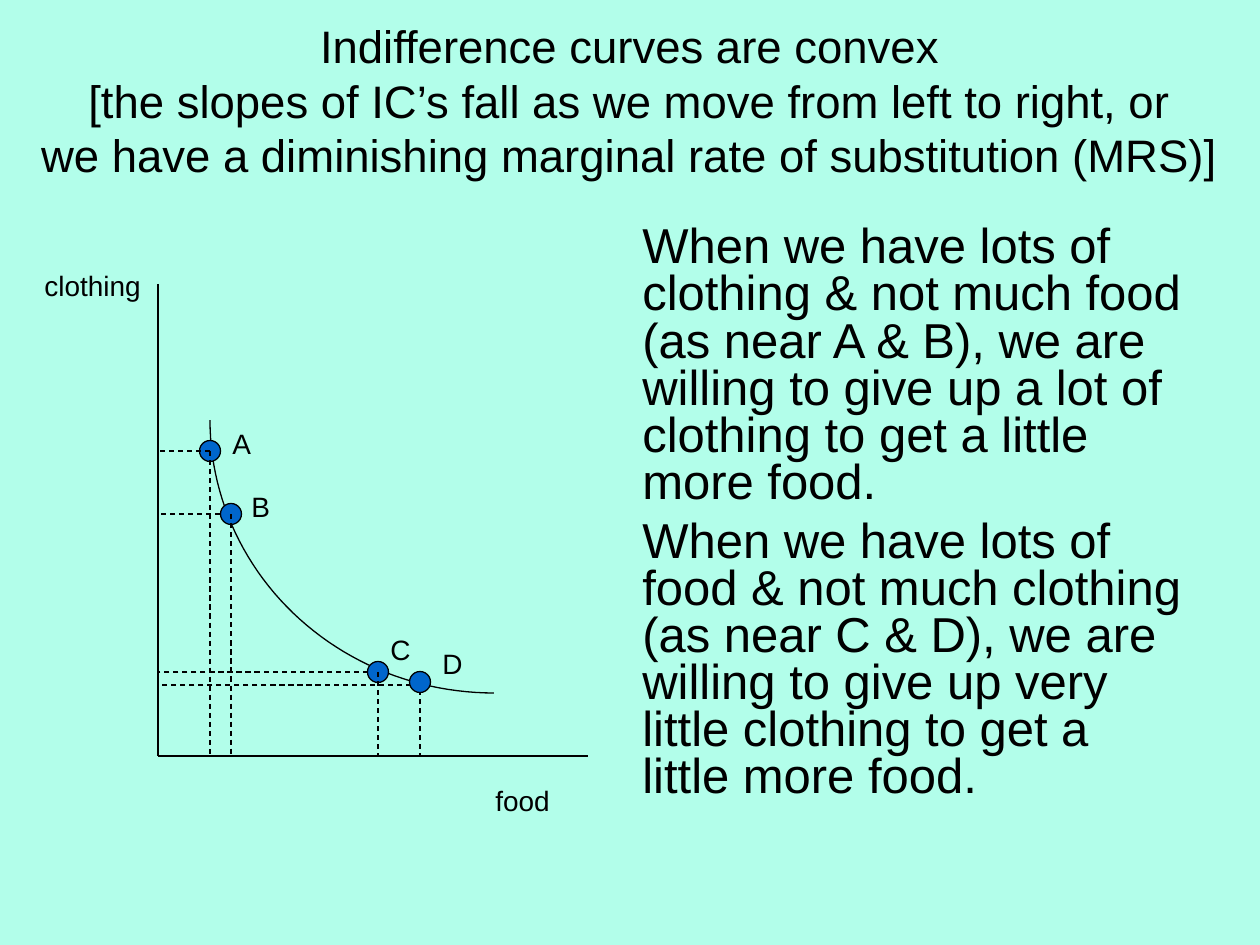
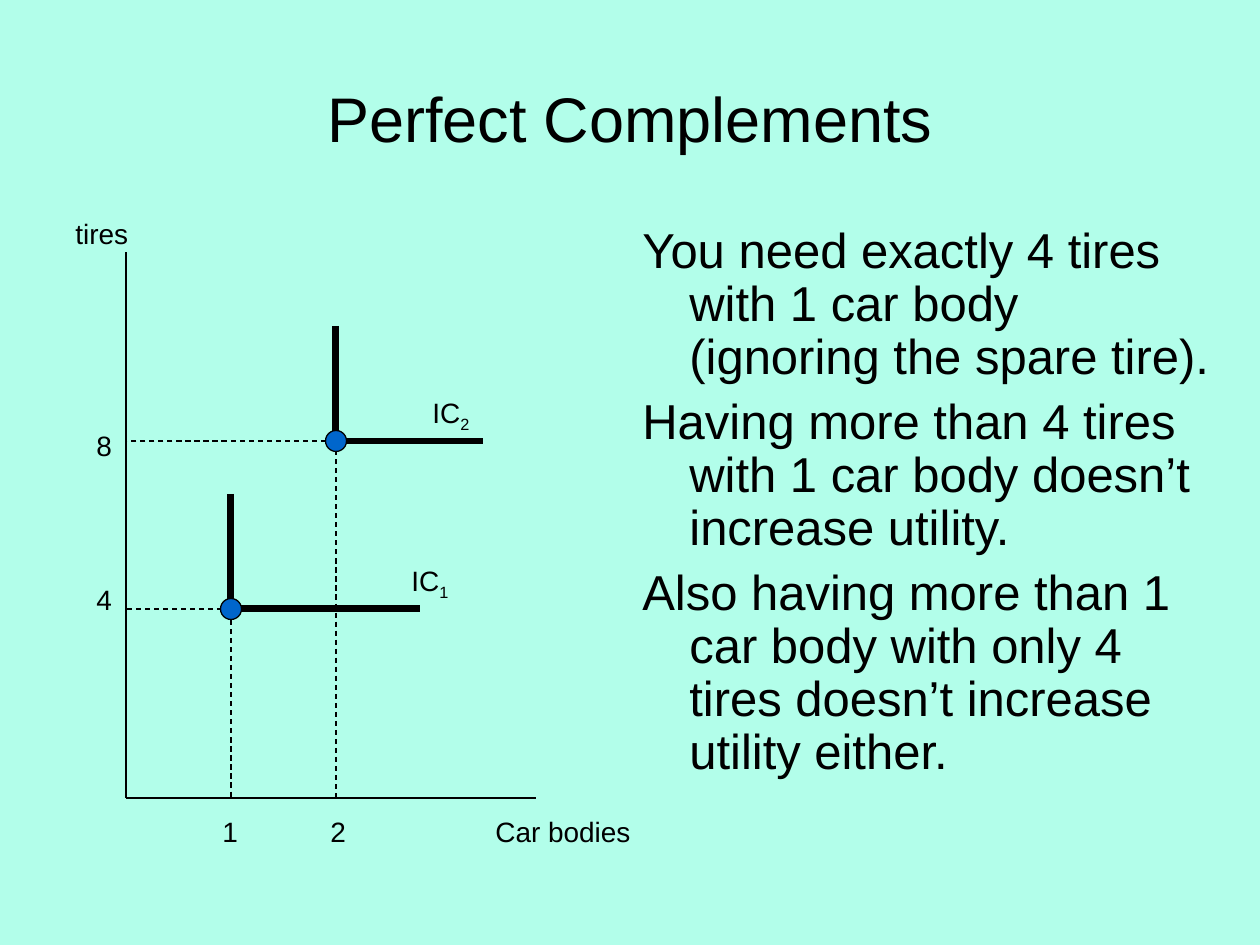
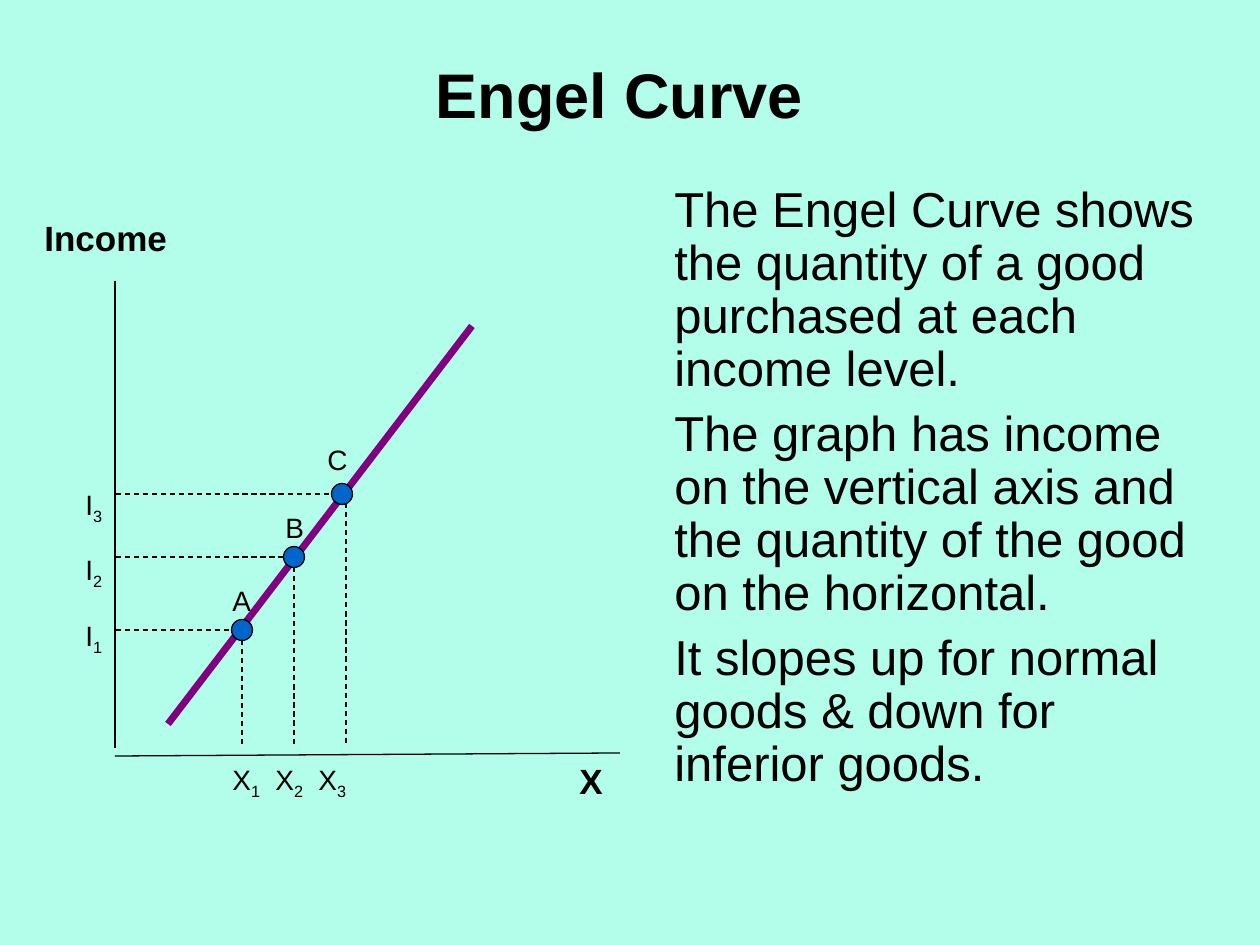
from math import cos, pi, sin

from lxml import etree
from pptx import Presentation
from pptx.dml.color import RGBColor
from pptx.enum.dml import MSO_LINE
from pptx.enum.shapes import MSO_CONNECTOR, MSO_SHAPE
from pptx.enum.text import MSO_ANCHOR, PP_ALIGN
from pptx.oxml.ns import qn
from pptx.util import Emu, Pt

STRAIGHT = MSO_CONNECTOR.STRAIGHT
OVAL = MSO_SHAPE.OVAL
DASH = MSO_LINE.DASH
CENTER = PP_ALIGN.CENTER
MIDDLE = MSO_ANCHOR.MIDDLE

FONT = "Arial"
COLORS = {"mint": "B2FEEA", "ink": "000000", "dot": "0066CC", "purple": "800080"}
LINES = {
    "axis": ("ink", 0.75, None),
    "dash": ("ink", 0.75, DASH),
    "indifference": ("ink", 4, None),
    "engel": ("purple", 4, None),
}
DOT = 21
CURVE_STEPS = 48
LABEL_H = 46

SLIDES = [
    {
        "title": "Indifference curves are convex\v"
                 "[the slopes of IC’s fall as we move from left to right, or\v"
                 "we have a diminishing marginal rate of substitution (MRS)]",
        "title_box": (0, 21, 1260, 158),
        "title_font": {"size": 26},
        "body": [
            "When we have lots of clothing & not much food (as near A & B), "
            "we are willing to give up a lot of clothing to get a little more food.",
            "When we have lots of food & not much clothing (as near C & D), "
            "we are willing to give up very little clothing to get a little more food.",
        ],
        "body_box": (630, 220, 567, 624),
        "body_format": {"spacing": 0.8},
        "parts": [
            ("axis", 158, 284, 158, 756),
            ("axis", 158, 756, 588, 756),
            ("curve", 210, 420, 494, 693),
            ("dot", 210, 451),
            ("label", 483, 777, 84, "food"),
            ("label", 220, 420, 74, "A"),
            ("label", 378, 626, 74, "C"),
            ("dot", 231, 514),
            ("label", 32, 262, 231, "clothing"),
            ("dash", 420, 672, 420, 756),
            ("dash", 210, 451, 210, 756),
            ("dash", 420, 685, 158, 685),
            ("dash", 210, 451, 158, 451),
            ("label", 239, 483, 66, "B"),
            ("dash", 231, 514, 231, 756),
            ("dash", 220, 514, 158, 514),
            ("dot", 378, 672),
            ("dot", 420, 682),
            ("dash", 378, 672, 378, 756),
            ("dash", 368, 672, 158, 672),
            ("label", 430, 640, 74, "D"),
        ],
    },
    {
        "title": "Perfect Complements",
        "title_box": (63, 38, 1134, 158),
        "title_font": {"size": 36},
        "body": [
            "You need exactly 4 tires with 1 car body (ignoring the spare tire).",
            "Having more than 4 tires with 1 car body doesn’t increase utility.",
            "Also having more than 1 car body with only 4 tires doesn’t "
            "increase utility either.",
        ],
        "body_box": (630, 220, 598, 624),
        "body_format": {"spacing": 0.9, "hang": 47},
        "parts": [
            ("axis", 126, 252, 126, 798),
            ("axis", 126, 798, 536, 798),
            ("label", 63, 210, 105, "tires"),
            ("label", 483, 808, 168, "Car bodies"),
            ("dash", 231, 620, 231, 798),
            ("dash", 231, 609, 126, 609),
            ("dash", 336, 441, 336, 798),
            ("dash", 326, 441, 126, 441),
            ("label", 210, 808, 200, "1\t2", {"tabs": [108]}),
            ("label", 84, 422, 53, ["8", "4"], {"before": 69, "height": 200}),
            ("indifference", 231, 494, 231, 609),
            ("indifference", 336, 326, 336, 441),
            ("indifference", 231, 609, 420, 609),
            ("indifference", 336, 441, 483, 441),
            ("label", 399, 557, 105, "IC_1"),
            ("label", 420, 389, 105, "IC_2"),
            ("dot", 231, 609),
            ("dot", 336, 441),
        ],
    },
    {
        "title": "Engel Curve",
        "title_box": (21, 38, 1197, 110),
        "title_font": {"size": 36, "bold": True},
        "body": [
            "The Engel Curve shows the quantity of a good purchased at each income level.",
            "The graph has income on the vertical axis and the quantity of the good "
            "on the horizontal.",
            "It slopes up for normal goods & down for inferior goods.",
        ],
        "body_box": (662, 179, 567, 665),
        "body_format": {"spacing": 0.9},
        "parts": [
            ("axis", 115, 281, 115, 748),
            ("axis", 115, 756, 620, 753),
            ("label", 567, 753, 47, "X", {"size": 20, "bold": True, "height": 55}),
            ("label", 32, 210, 200, "Income", {"size": 20, "bold": True, "height": 55}),
            ("label", 315, 436, 53, "C"),
            ("label", 273, 504, 53, "B"),
            ("label", 220, 577, 53, "A"),
            ("dash", 116, 630, 242, 630),
            ("dash", 242, 640, 242, 746),
            ("dash", 116, 494, 346, 494),
            ("dash", 346, 494, 346, 746),
            ("dash", 116, 557, 305, 557),
            ("dash", 294, 567, 294, 746),
            ("engel", 168, 724, 472, 326),
            ("dot", 242, 630),
            ("dot", 294, 557),
            ("dot", 342, 494),
            ("label", 220, 756, 147, "X_1\tX_2\tX_3", {"tabs": [43, 86]}),
            ("label", 73, 472, 63, ["I_3", "I_2", "I_1"],
             {"spacing": 1.25, "before": 10, "height": 192}),
        ],
    },
]


def px(n):
    return Emu(round(n * 914400 / 126))


def rgb(name):
    return RGBColor.from_string(COLORS[name])


def set_tabs(p, tabs):
    tab_list = etree.SubElement(p._p.get_or_add_pPr(), qn("a:tabLst"))
    for pos in tabs:
        etree.SubElement(tab_list, qn("a:tab"), pos=str(px(pos)), algn="l")


def add_runs(p, text):
    first, *rest = text.split("_")
    pieces = [(first, False)]
    for part in rest:
        pieces += [(part[0], True), (part[1:], False)]
    for piece, is_sub in pieces:
        if piece:
            r = p.add_run()
            r.text = piece
            if is_sub:
                r._r.get_or_add_rPr().set("baseline", "-25000")


def add_text(s, box, lines, size, bold=False, align=None, anchor=None,
             spacing=None, before=0, hang=0, tabs=()):
    tf = s.shapes.add_textbox(*map(px, box)).text_frame
    tf.word_wrap = True
    tf.vertical_anchor = anchor
    for i, line in enumerate(lines):
        p = tf.paragraphs[0] if i == 0 else tf.add_paragraph()
        if "_" in line:
            add_runs(p, line)
        else:
            p.text = line
        if tabs:
            set_tabs(p, tabs)
        if hang:
            pPr = p._p.get_or_add_pPr()
            pPr.set("marL", str(px(hang)))
            pPr.set("indent", str(px(-hang)))
        p.alignment = align
        p.line_spacing = spacing
        if i and before:
            p.space_before = Pt(before)
        p.font.name, p.font.size, p.font.bold = FONT, Pt(size), bold
        p.font.color.rgb = rgb("ink")


def add_label(s, x, y, w, text, options=None):
    style = {"size": 16, "height": LABEL_H, **(options or {})}
    h = style.pop("height")
    add_text(s, (x, y, w, h), [text] if isinstance(text, str) else text, **style)


def style_line(line, kind):
    color, width, dash = LINES[kind]
    line.color.rgb = rgb(color)
    line.width = Pt(width)
    if dash:
        line.dash_style = dash


def add_line(s, kind, *ends):
    c = s.shapes.add_connector(STRAIGHT, *map(px, ends))
    style_line(c.line, kind)
    etree.SubElement(c._element.spPr, qn("a:effectLst"))


def add_dot(s, x, y):
    sp = s.shapes.add_shape(OVAL, px(x - DOT / 2), px(y - DOT / 2), px(DOT), px(DOT))
    sp.shadow.inherit = False
    sp.fill.solid()
    sp.fill.fore_color.rgb = rgb("dot")
    style_line(sp.line, "axis")


def add_curve(s, left, top, right, bottom):
    angles = [i * pi / 2 / CURVE_STEPS for i in range(CURVE_STEPS + 1)]
    points = [(px(right - (right - left) * cos(a)), px(top + (bottom - top) * sin(a)))
              for a in angles]
    builder = s.shapes.build_freeform(*points[0])
    builder.add_line_segments(points[1:], close=False)
    sp = builder.convert_to_shape()
    sp.shadow.inherit = False
    sp.fill.background()
    style_line(sp.line, "axis")


DRAW = {"label": add_label, "dot": add_dot, "curve": add_curve}


def build_slide(prs, content):
    s = prs.slides.add_slide(prs.slide_layouts[6])
    add_text(s, content["title_box"], [content["title"]], align=CENTER, anchor=MIDDLE,
             **content["title_font"])
    add_text(s, content["body_box"], content["body"], size=28, before=7,
             **content["body_format"])
    for kind, *args in content["parts"]:
        if kind in LINES:
            add_line(s, kind, *args)
        else:
            DRAW[kind](s, *args)


def main():
    prs = Presentation()
    prs.slide_width, prs.slide_height = px(1260), px(945)
    fill = prs.slide_master.background.fill
    fill.solid()
    fill.fore_color.rgb = rgb("mint")
    for content in SLIDES:
        build_slide(prs, content)
    prs.save("out.pptx")


if __name__ == "__main__":
    main()
